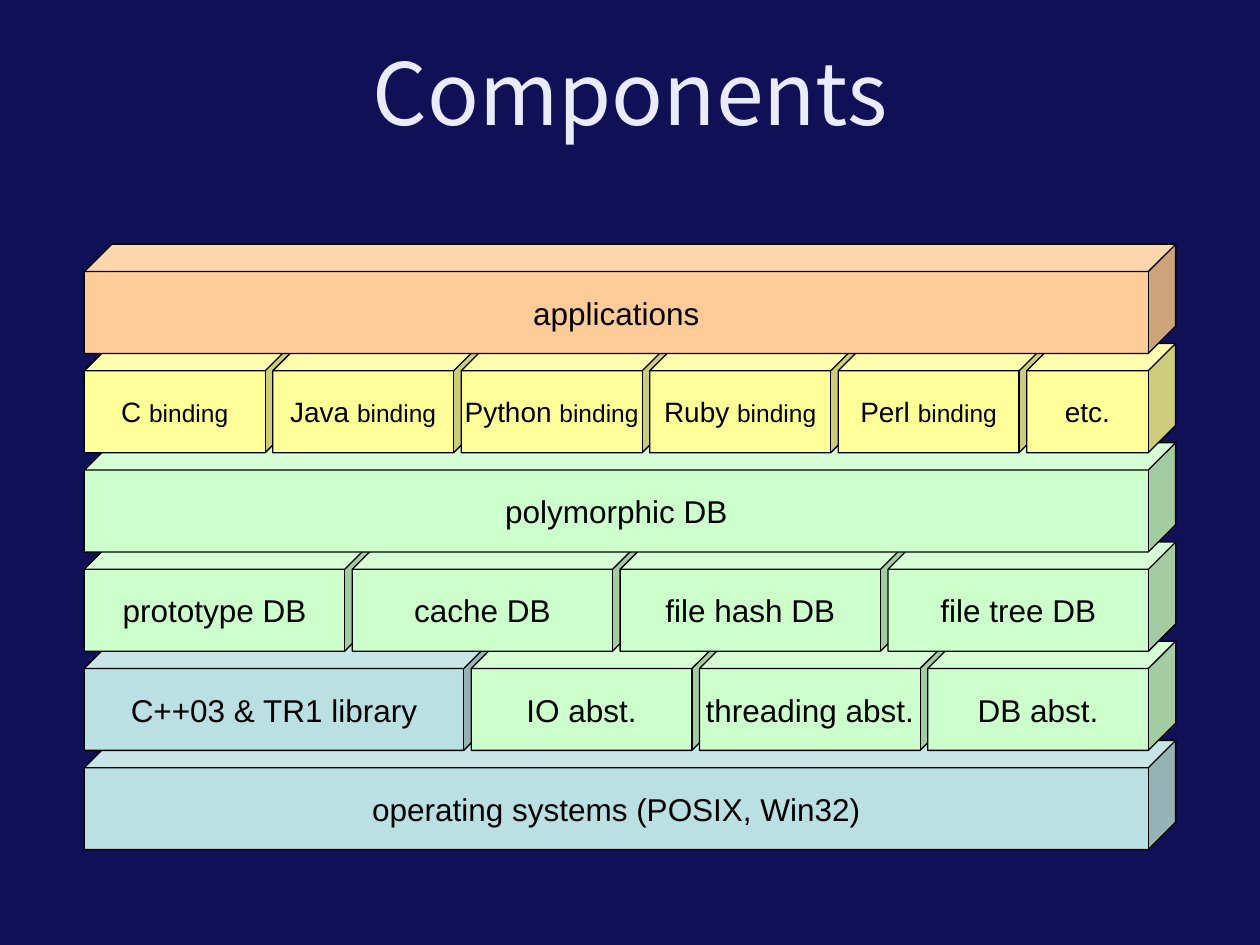
import dataclasses

import pptx
import pptx.dml.color
import pptx.enum.shapes
import pptx.enum.text
import pptx.util

Pt = pptx.util.Pt
RGB = pptx.dml.color.RGBColor.from_string


@dataclasses.dataclass(frozen=True)
class Theme:
    """Colours, fonts and type sizes of the slide."""

    background: str = "101056"
    title: str = "EBEBFF"
    ink: str = "000000"
    system: str = "BBE0E3"
    core: str = "CCFFCC"
    binding: str = "FFFF99"
    application: str = "FFCC99"
    title_font: str = "Noto Sans CJK JP"
    body_font: str = "Arial"
    title_size: float = 49
    body_size: float = 18
    language_size: float = 16
    binding_size: float = 14


class Deck:
    """Holds the theme and the current slide and draws its elements."""

    LEFT, TOP, PITCH, HEIGHT, OVERLAP = 48.2, 139.6, 56.7, 62.4, 11.3

    def __init__(self, theme):
        """Start a presentation with one title-only slide."""
        self.theme = theme
        self.prs = pptx.Presentation()
        self.prs.slide_width, self.prs.slide_height = Pt(720), Pt(540)
        self.s = self.prs.slides.add_slide(self.prs.slide_layouts[5])
        fill = self.s.background.fill
        fill.solid()
        fill.fore_color.rgb = RGB(theme.background)

    def text(self, tf, runs, font, color, wrap):
        """Write one centred paragraph of (text, size) runs."""
        frame_format = {
            "auto_size": pptx.enum.text.MSO_AUTO_SIZE.NONE,
            "word_wrap": wrap,
            "vertical_anchor": pptx.enum.text.MSO_ANCHOR.MIDDLE,
        }
        for name, value in frame_format.items():
            setattr(tf, name, value)
        p = tf.paragraphs[0]
        p.alignment = pptx.enum.text.PP_ALIGN.CENTER
        for words, size in runs:
            r = p.add_run()
            r.text = words
            for name, value in {"name": font, "size": Pt(size)}.items():
                setattr(r.font, name, value)
            r.font.color.rgb = RGB(color)

    def title(self, words):
        """Place and fill the title placeholder."""
        sp = self.s.shapes.title
        place = {"left": 8.6, "top": 9.4, "width": 702.7, "height": 85}
        for name, value in place.items():
            setattr(sp, name, Pt(value))
        t = self.theme
        self.text(sp.text_frame, [(words, t.title_size)], t.title_font, t.title, True)

    def cube(self, x, y, width, color, runs):
        """Draw one labelled block."""
        sp = self.s.shapes.add_shape(
            pptx.enum.shapes.MSO_SHAPE.CUBE, Pt(x), Pt(y), Pt(width), Pt(self.HEIGHT)
        )
        sp.shadow.inherit = False
        sp.fill.solid()
        sp.fill.fore_color.rgb = RGB(color)
        sp.line.color.rgb = RGB(self.theme.ink)
        sp.line.width = Pt(0.75)
        self.text(sp.text_frame, runs, self.theme.body_font, self.theme.ink, False)

    def stack(self, layers):
        """Draw layers listed top-down, lowest first so upper ones overlap."""
        for level, layer in reversed(list(enumerate(layers))):
            x = self.LEFT
            for width, color, runs in layer:
                self.cube(x, self.TOP + level * self.PITCH, width, color, runs)
                x += width - self.OVERLAP


def main():
    """Build and save the component stack."""
    t = Theme()
    deck = Deck(t)
    deck.title("Components")

    def block(width, color, label):
        """Describe a block with a single-run label."""
        return width, color, [(label, t.body_size)]

    full = 623.6
    bindings = [
        (119, t.binding, [(f"{name} ", t.language_size), ("binding", t.binding_size)])
        for name in ("C", "Java", "Python", "Ruby", "Perl")
    ]
    databases = ("prototype DB", "cache DB", "file hash DB", "file tree DB")
    abstractions = ("IO abst.", "threading abst.", "DB abst.")
    deck.stack([
        [block(full, t.application, "applications")],
        bindings + [(85.1, t.binding, [("etc.", t.language_size)])],
        [block(full, t.core, "polymorphic DB")],
        [block(164.4, t.core, label) for label in databases],
        [block(232.4, t.system, "C++03 & TR1 library")]
        + [block(141.7, t.core, label) for label in abstractions],
        [block(full, t.system, "operating systems (POSIX, Win32)")],
    ])
    deck.prs.save("out.pptx")


if __name__ == "__main__":
    main()
